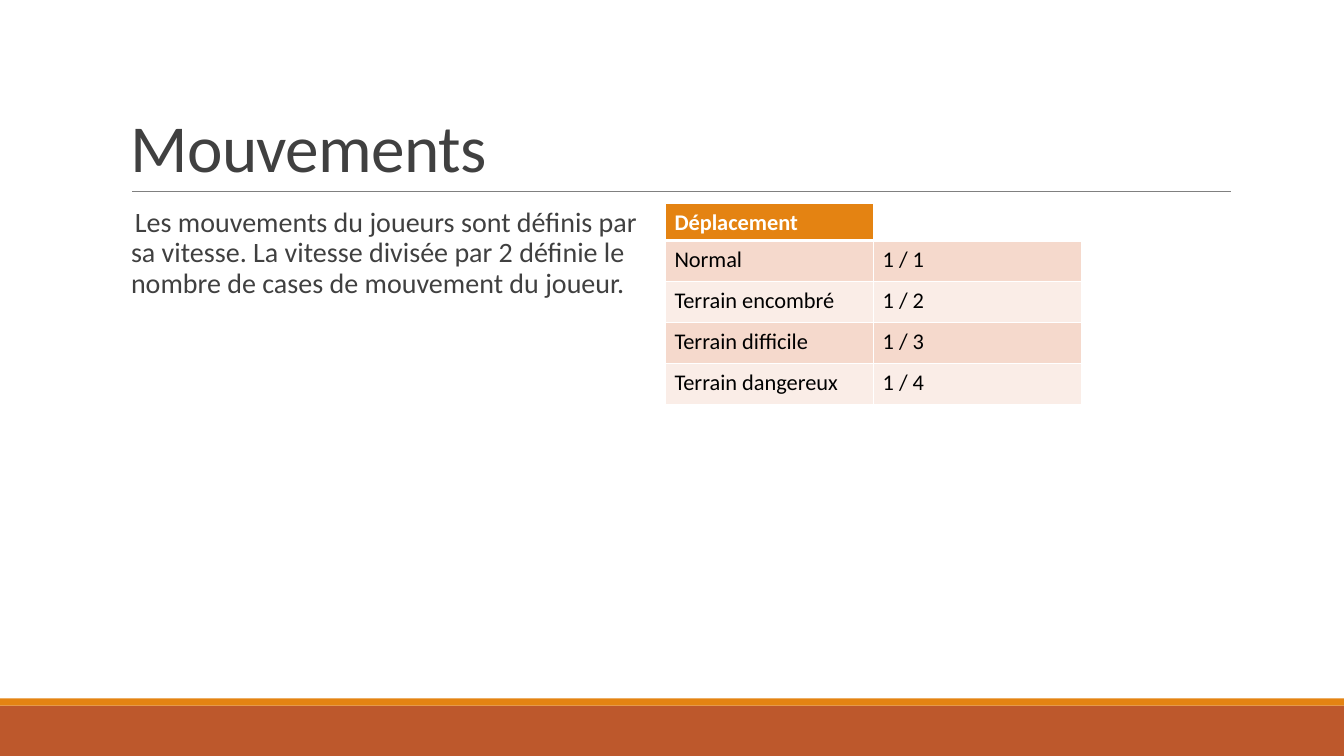
from dataclasses import dataclass

from lxml.etree import SubElement
from pptx import Presentation
from pptx.dml.color import RGBColor
from pptx.enum.shapes import MSO_CONNECTOR, MSO_SHAPE
from pptx.enum.text import MSO_ANCHOR
from pptx.oxml.ns import qn
from pptx.util import Inches, Pt


@dataclass(frozen=True)
class Theme:
    font: str = "Calibri"
    accent: str = "E48312"
    footer: str = "BD582C"
    text: str = "404040"
    rule: str = "808080"
    white: str = "FFFFFF"
    black: str = "000000"
    bands: tuple = ("F5D9CC", "FAEDE7")
    title_size: int = 48
    body_size: int = 20
    table_size: int = 16


THEME = Theme()
WIDTH, HEIGHT = 13.33, 7.5
MARGIN = 1.2
CONTENT_TOP = 2.02
ROWS = [
    ("Déplacement", ""),
    ("Normal", "1 / 1"),
    ("Terrain encombré", "1 / 2"),
    ("Terrain difficile", "1 / 3"),
    ("Terrain dangereux", "1 / 4"),
]


def rgb(value):
    return RGBColor.from_string(value)


def style(p, size, color, bold=False):
    for r in p.runs:
        r.font.name, r.font.size, r.font.bold = THEME.font, Pt(size), bold
        r.font.color.rgb = rgb(color)


def add_text(s, box, text, size, spacing, anchor=MSO_ANCHOR.TOP, side=0.1):
    tf = s.shapes.add_textbox(*map(Inches, box)).text_frame
    tf.word_wrap = True
    tf.vertical_anchor = anchor
    tf.margin_left = tf.margin_right = Inches(side)
    p = tf.paragraphs[0]
    p.text = text
    p.line_spacing = spacing
    style(p, size, THEME.text)
    return p


def add_footer(s, left, top, width, height):
    # Thin accent strip above the wide band
    strip = 0.07
    for y, h, color in ((top, height, THEME.footer),
                        (top - strip, strip, THEME.accent)):
        sp = s.shapes.add_shape(MSO_SHAPE.RECTANGLE, *map(Inches, (left, y, width, h)))
        sp.shadow.inherit = False
        sp.fill.solid()
        sp.fill.fore_color.rgb = rgb(color)
        sp.line.fill.background()


def add_title(s, left, top, width, height):
    # Rule under the title, then the title resting on it
    y = top + height
    rule = s.shapes.add_connector(
        MSO_CONNECTOR.STRAIGHT, *map(Inches, (left + 0.11, y, left + width + 0.01, y)))
    rule.line.color.rgb = rgb(THEME.rule)
    rule.line.width = Pt(0.5)
    SubElement(rule.element.spPr, qn("a:effectLst"))
    p = add_text(s, (left, top, width, height), "Mouvements",
                 THEME.title_size, 0.85, MSO_ANCHOR.BOTTOM)
    p.runs[0].font._element.set("spc", "-50")


def add_body(s, left, top, width, height):
    p = add_text(
        s, (left, top, width, height),
        "Les mouvements du joueurs sont définis par \vsa vitesse. La vitesse "
        "divisée par 2 définie le nombre de cases de mouvement du joueur.",
        THEME.body_size, 0.9, side=0)
    p.space_after = Pt(2)
    # Blank bullet with a hanging indent
    pPr = p._p.get_or_add_pPr()
    pPr.set("marL", str(Inches(0.1)))
    pPr.set("indent", str(-Inches(0.1)))
    SubElement(SubElement(pPr, qn("a:buClr")), qn("a:srgbClr"), val=THEME.accent)
    SubElement(pPr, qn("a:buChar"), char=" ")


def add_borders(cell, top, bottom):
    tcPr = cell._tc.get_or_add_tcPr()
    for side, width in (("L", 1), ("R", 1), ("T", top), ("B", bottom)):
        ln = SubElement(tcPr, qn(f"a:ln{side}"), w=str(Pt(width)))
        SubElement(SubElement(ln, qn("a:solidFill")), qn("a:srgbClr"), val=THEME.white)


def add_movement_table(s, left, top, width, height):
    header = 0.36
    frame = s.shapes.add_table(len(ROWS), 2, *map(Inches, (left, top, width, height)))
    table = frame.table
    for column in table.columns:
        column.width = Inches(width / 2)
    for i, values in enumerate(ROWS):
        is_header = i == 0
        table.rows[i].height = Inches(
            header if is_header else (height - header) / (len(ROWS) - 1))
        fill = THEME.accent if is_header else THEME.bands[(i - 1) % 2]
        color = THEME.white if is_header else THEME.black
        for j, value in enumerate(values):
            cell = table.cell(i, j)
            cell.margin_left = cell.margin_right = Inches(0.09)
            add_borders(cell, 3 if i == 1 else 1, 3 if is_header else 1)
            p = cell.text_frame.paragraphs[0]
            if value:
                cell.fill.solid()
                cell.fill.fore_color.rgb = rgb(fill)
                p.text = value
                style(p, THEME.table_size, color, is_header)
            else:
                cell.fill.background()
                SubElement(p._p, qn("a:endParaRPr"), sz=str(THEME.table_size * 100))


def main():
    prs = Presentation()
    prs.slide_width, prs.slide_height = Inches(WIDTH), Inches(HEIGHT)
    s = prs.slides.add_slide(prs.slide_layouts[6])
    add_footer(s, 0, HEIGHT - 0.5, WIDTH, 0.5)
    add_title(s, MARGIN, 0.31, 11, 1.59)
    add_body(s, MARGIN, CONTENT_TOP, 5.33, 4.4)
    add_movement_table(s, 6.6, CONTENT_TOP, 4.13, 1.99)
    prs.save("out.pptx")


if __name__ == "__main__":
    main()
